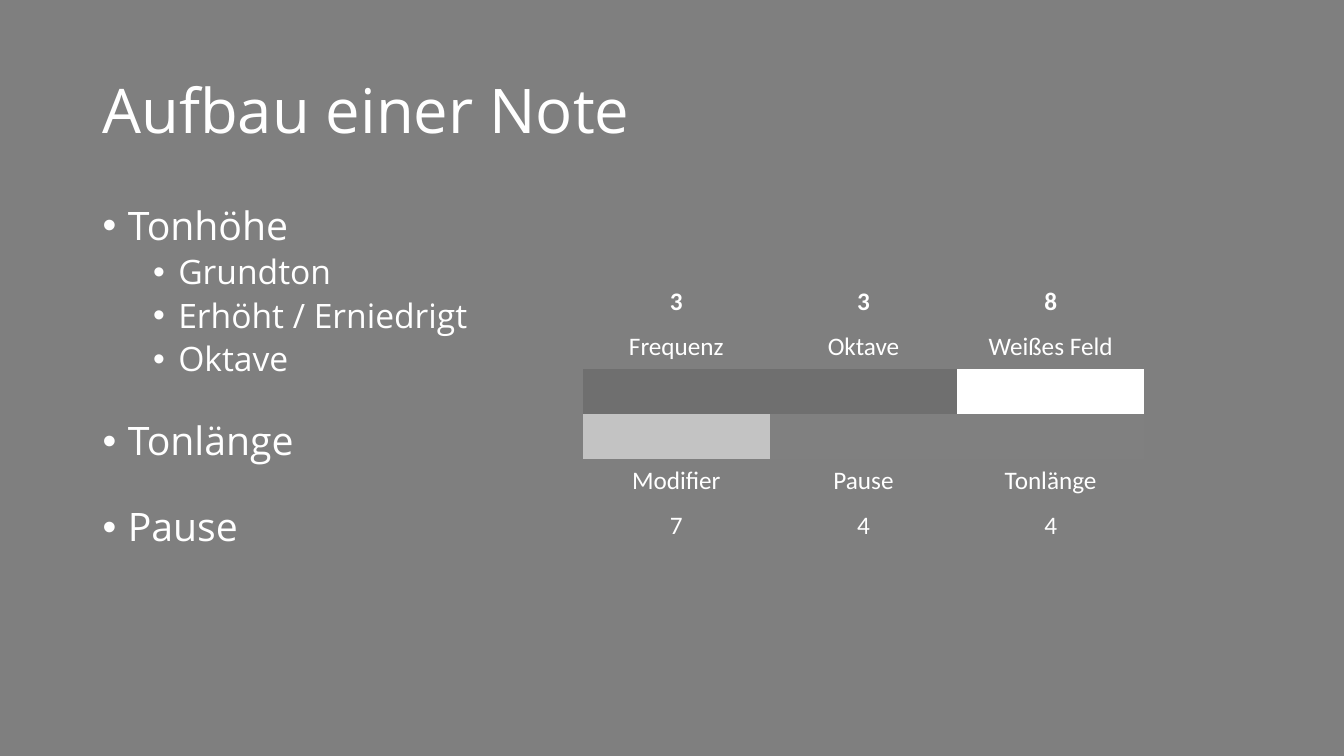
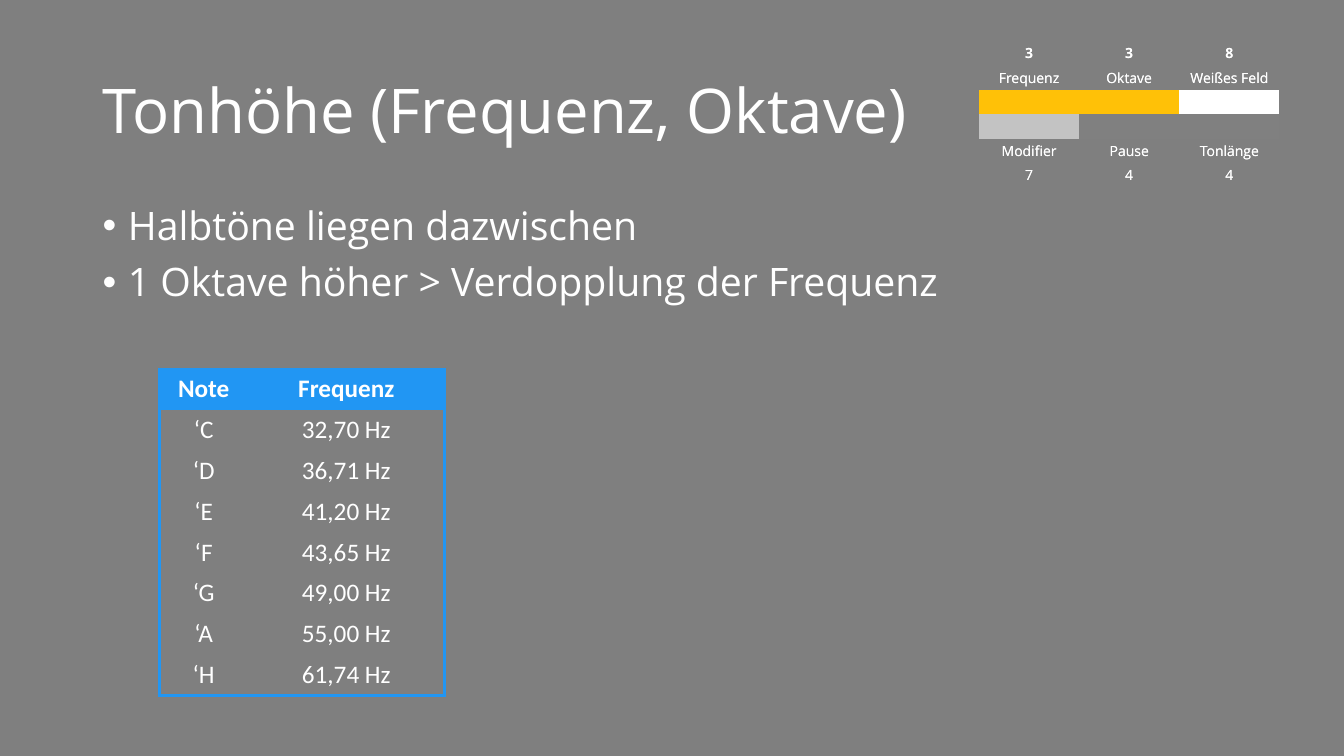
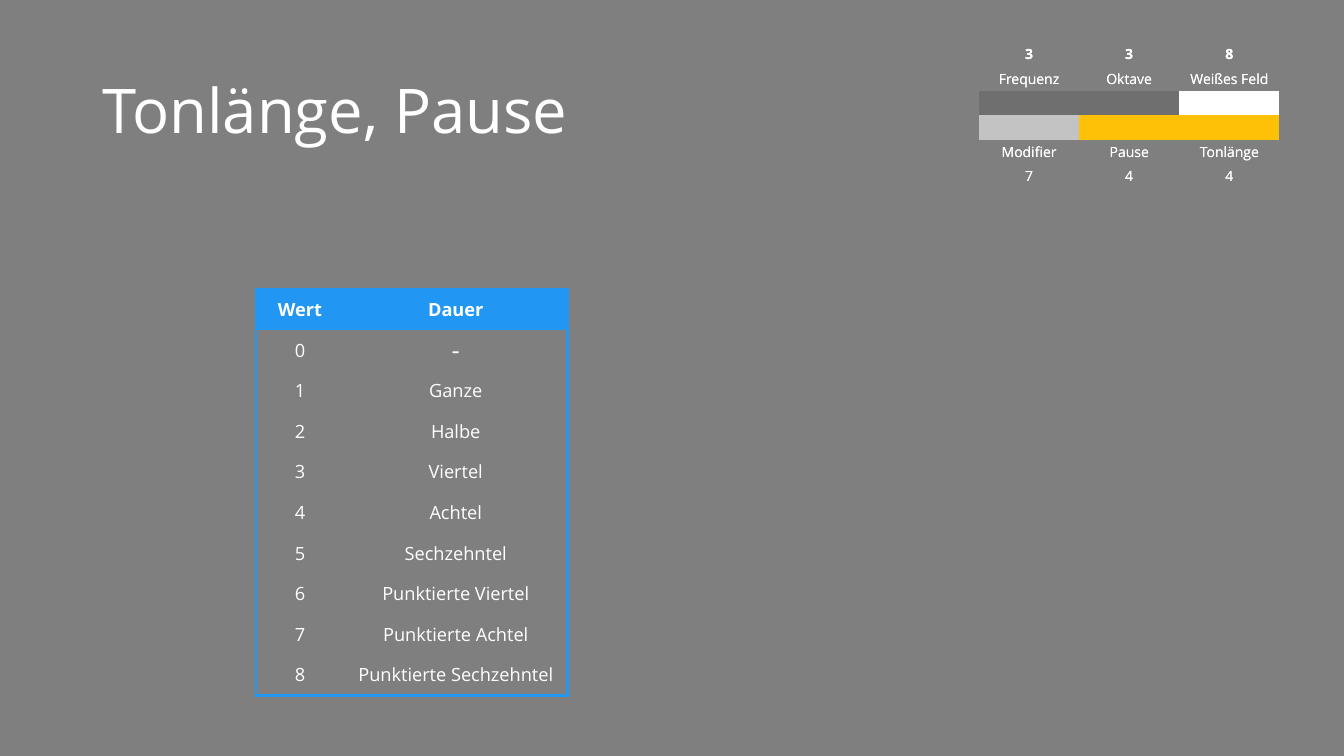
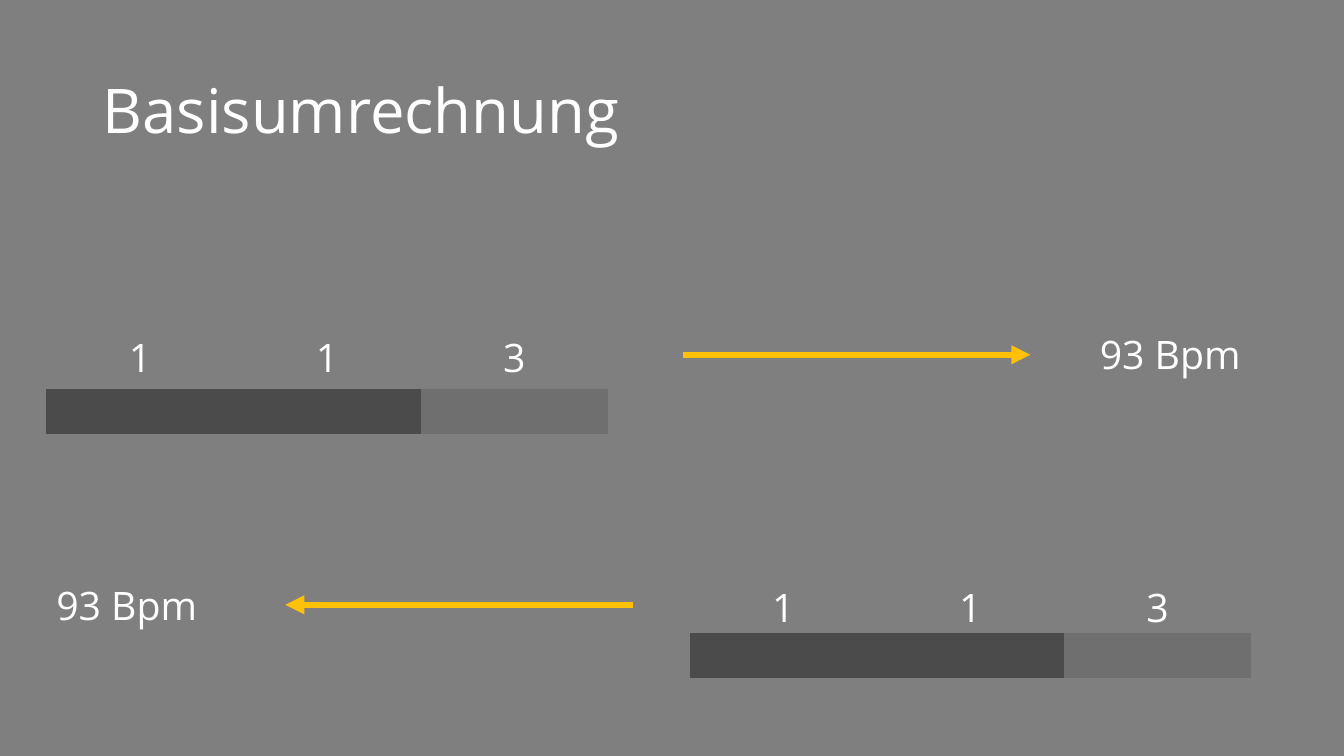
from lxml.etree import SubElement
from pptx import Presentation
from pptx.dml.color import RGBColor
from pptx.enum.shapes import MSO_CONNECTOR, MSO_SHAPE
from pptx.enum.text import MSO_ANCHOR, PP_ALIGN
from pptx.oxml.ns import qn
from pptx.util import Inches, Pt

MIDDLE, TOP = MSO_ANCHOR.MIDDLE, MSO_ANCHOR.TOP
CENTER = PP_ALIGN.CENTER
STRAIGHT, RECTANGLE = MSO_CONNECTOR.STRAIGHT, MSO_SHAPE.RECTANGLE

SLIDE_SIZE = (13.33, 7.5)
BLACK, WHITE = "000000", "FFFFFF"
BLUE, YELLOW = "2196F3", "FFC107"
BLACK_KEY, DARK, MID, LIGHT = "4B4B4B", "6F6F6F", "808080", "C3C3C3"
HEADING_FONT, TABLE_FONT = "Open Sans", "Calibri"
NO_GRID_STYLE = "{2D5ABB26-0587-4C30-8999-92F81FD0307C}"

# Level: left indent in inches, text size in points
LEVELS = [(0.25, 28), (0.75, 24)]

# Bullets: level, space before in points, text
STRUCTURE = [
    (0, 0, "Tonhöhe"),
    (1, 5, "Grundton"),
    (1, 5, "Erhöht / Erniedrigt"),
    (1, 5, "Oktave"),
    (0, 31, "Tonlänge"),
    (0, 31, "Pause"),
]
PITCH = [
    (0, 0, "Halbtöne liegen dazwischen"),
    (0, 10, "1 Oktave höher > Verdopplung der Frequenz"),
]

FIELDS_ABOVE = [["3", "3", "8"], ["Frequenz", "Oktave", "Weißes Feld"]]
FIELDS_BELOW = [["Modifier", "Pause", "Tonlänge"], ["7", "4", "4"]]
UPPER_BAR = [DARK, DARK, WHITE]
LOWER_BAR = [LIGHT, MID, MID]
UPPER_MARKED = [YELLOW, YELLOW, WHITE]
LOWER_MARKED = [LIGHT, YELLOW, YELLOW]

FREQUENCIES = [
    ("Note", "Frequenz"),
    ("‘C", "32,70 Hz"),
    ("‘D", "36,71 Hz"),
    ("‘E", "41,20 Hz"),
    ("‘F", "43,65 Hz"),
    ("‘G", "49,00 Hz"),
    ("‘A", "55,00 Hz"),
    ("‘H", "61,74 Hz"),
]
DURATIONS = [
    ("Wert", "Dauer"),
    ("0", "-"),
    ("1", "Ganze"),
    ("2", "Halbe"),
    ("3", "Viertel"),
    ("4", "Achtel"),
    ("5", "Sechzehntel"),
    ("6", "Punktierte Viertel"),
    ("7", "Punktierte Achtel"),
    ("8", "Punktierte Sechzehntel"),
]

TEMPO = "93 Bpm"
TEMPO_DIGITS = ["1", "1", "3"]
TEMPO_BAR = [BLACK_KEY, BLACK_KEY, DARK]
# Conversions: table left, top, digit row height, cell margins, tempo left,
# arrow start, arrow end, arrow height
CONVERSIONS = [
    (0.46, 3.23, 0.63, (0.1, 0.05, 0.05), 10.81, 6.77, 10.22, 3.52),
    (6.84, 5.72, 0.56, (0.1, 0.04, 0), 0.46, 6.28, 2.83, 6),
]


def rgb(color):
    return RGBColor.from_string(color)


def add_run(p, text, size, font=HEADING_FONT, bold=False):
    r = p.add_run()
    r.text = text
    formats = {"size": Pt(size), "name": font, "bold": bold}
    for name, value in formats.items():
        setattr(r.font, name, value)
    r.font.color.rgb = rgb(WHITE)


def add_text_frame(s, left, top, width, height, anchor=TOP, wrap=True):
    tf = s.shapes.add_textbox(*map(Inches, (left, top, width, height))).text_frame
    tf.word_wrap = wrap
    tf.vertical_anchor = anchor
    return tf


def add_shade(s):
    """Cover the white slide with half-transparent black."""
    shade = s.shapes.add_shape(RECTANGLE, 0, 0, *map(Inches, SLIDE_SIZE))
    shade.shadow.inherit = False
    shade.line.fill.background()
    shade.fill.solid()
    shade.fill.fore_color.rgb = rgb(BLACK)
    color = shade._element.spPr.find(qn("a:solidFill"))[0]
    SubElement(color, qn("a:alpha"), val="50000")


def add_slide(prs, title):
    s = prs.slides.add_slide(prs.slide_layouts[6])
    add_shade(s)
    p = add_text_frame(s, 0.92, 0.4, 11.5, 1.45, MIDDLE).paragraphs[0]
    p.line_spacing = 0.9
    add_run(p, title, 44)
    return s


def add_bullets(s, items, width):
    tf = add_text_frame(s, 0.92, 2, width, 4.76)
    for i, (level, space, text) in enumerate(items):
        p = tf.add_paragraph() if i else tf.paragraphs[0]
        indent, size = LEVELS[level]
        pPr = p._p.get_or_add_pPr()
        pPr.set("marL", str(Inches(indent)))
        pPr.set("indent", str(-Inches(0.25)))
        SubElement(pPr, qn("a:buFont"), typeface="Arial")
        SubElement(pPr, qn("a:buChar"), char="•")
        p.line_spacing = 0.9
        p.space_before = Pt(space)
        add_run(p, text, size)


def add_plain_table(s, left, top, widths, heights):
    """Add a table without style, banding or grid."""
    table = s.shapes.add_table(
        len(heights), len(widths), Inches(left), Inches(top),
        Inches(sum(widths)), Inches(sum(heights))).table
    table.first_row = table.horz_banding = False
    table._tbl.tblPr.find(qn("a:tableStyleId")).text = NO_GRID_STYLE
    for column, width in zip(table.columns, widths):
        column.width = Inches(width)
    for row, height in zip(table.rows, heights):
        row.height = Inches(height)
    return table


def fill_cell(cell, text, size, font, margins, bold=False, fill=None):
    """Format a cell; margins are side, top and bottom in inches."""
    side, top, bottom = map(Inches, margins)
    cell.margin_left = cell.margin_right = side
    cell.margin_top, cell.margin_bottom = top, bottom
    cell.vertical_anchor = MIDDLE
    p = cell.text_frame.paragraphs[0]
    p.alignment = CENTER
    if text:
        add_run(p, text, size, font, bold)
    else:
        SubElement(p._p, qn("a:endParaRPr"), sz=str(size * 100))
    if fill:
        cell.fill.solid()
        cell.fill.fore_color.rgb = rgb(fill)
    else:
        cell.fill.background()


def add_border(cell, sides):
    """Draw blue borders; sides are in the order L, R, T, B."""
    tcPr = cell._tc.get_or_add_tcPr()
    for side in sides:
        ln = SubElement(tcPr, qn("a:ln" + side), w=str(Pt(2.25)))
        SubElement(SubElement(ln, qn("a:solidFill")), qn("a:srgbClr"), val=BLUE)


def add_note_table(s, left, top, width, height, size, font, margins,
                   upper=UPPER_BAR, lower=LOWER_BAR, bold=True):
    """Draw the six fields of a note around its two colour bars."""
    blank = [""] * 3
    texts = [*FIELDS_ABOVE, blank, blank, *FIELDS_BELOW]
    fills = {2: upper, 3: lower}
    rows = len(texts)
    table = add_plain_table(s, left, top, [width / 3] * 3, [height / rows] * rows)
    for r, line in enumerate(texts):
        for c, text in enumerate(line):
            fill = fills[r][c] if r in fills else None
            fill_cell(table.cell(r, c), text, size, font, margins,
                      bold and r == 0, fill)


def add_corner_note(s, top, **options):
    add_note_table(s, 9.71, top, 2.98, 1.45, 10, HEADING_FONT,
                   (0.05, 0.02, 0.02), **options)


def add_boxed_table(s, rows, left, top, widths, height, size, font, margins):
    """Draw a table with a blue header and a blue outer border."""
    table = add_plain_table(s, left, top, widths, [height / len(rows)] * len(rows))
    for r, line in enumerate(rows):
        for c, text in enumerate(line):
            cell = table.cell(r, c)
            sides = "R" if c else "L"
            if r == 0:
                sides += "T"
            elif r == len(rows) - 1:
                sides += "B"
            add_border(cell, sides)
            fill_cell(cell, text, 18 if text == "-" else size, font, margins,
                      r == 0, None if r else BLUE)


def add_arrow(s, start, end, y):
    line = s.shapes.add_connector(
        STRAIGHT, Inches(start), Inches(y), Inches(end), Inches(y))
    line.line.color.rgb = rgb(YELLOW)
    line.line.width = Pt(4.5)
    SubElement(line.line._get_or_add_ln(), qn("a:tailEnd"), type="triangle")
    SubElement(line._element.spPr, qn("a:effectLst"))


def add_conversion(s, left, top, digit_row, margins, tempo_left, start, end, y):
    table = add_plain_table(s, left, top, [5.57 / 3] * 3, [digit_row, 0.445])
    for c, (digit, fill) in enumerate(zip(TEMPO_DIGITS, TEMPO_BAR)):
        fill_cell(table.cell(0, c), digit, 28, HEADING_FONT, margins)
        fill_cell(table.cell(1, c), "", 18, HEADING_FONT, margins, fill=fill)
    tf = add_text_frame(s, tempo_left, top, 1.61, 0.57, wrap=False)
    add_run(tf.paragraphs[0], TEMPO, 28)
    add_arrow(s, start, end, y)


def main():
    prs = Presentation()
    prs.slide_width, prs.slide_height = map(Inches, SLIDE_SIZE)

    s = add_slide(prs, "Aufbau einer Note")
    add_bullets(s, STRUCTURE, 4.03)
    add_note_table(s, 5.78, 2.77, 5.57, 2.67, 18, TABLE_FONT, (0.1, 0.05, 0.05))

    s = add_slide(prs, "Tonhöhe (Frequenz, Oktave)")
    add_boxed_table(s, FREQUENCIES, 1.58, 3.66, [0.88, 1.95], 3.24, 18,
                    TABLE_FONT, (0.1, 0.05, 0.05))
    add_bullets(s, PITCH, 8.49)
    add_corner_note(s, 0.41)
    add_corner_note(s, 0.41, upper=UPPER_MARKED, bold=False)

    s = add_slide(prs, "Tonlänge, Pause")
    add_boxed_table(s, DURATIONS, 2.54, 2.87, [0.87, 2.22], 4.03, 13,
                    HEADING_FONT, (0.07, 0.03, 0.03))
    add_corner_note(s, 0.42, upper=UPPER_MARKED)
    add_corner_note(s, 0.42, lower=LOWER_MARKED)

    s = add_slide(prs, "Basisumrechnung")
    for conversion in CONVERSIONS:
        add_conversion(s, *conversion)

    prs.save("out.pptx")


if __name__ == "__main__":
    main()
